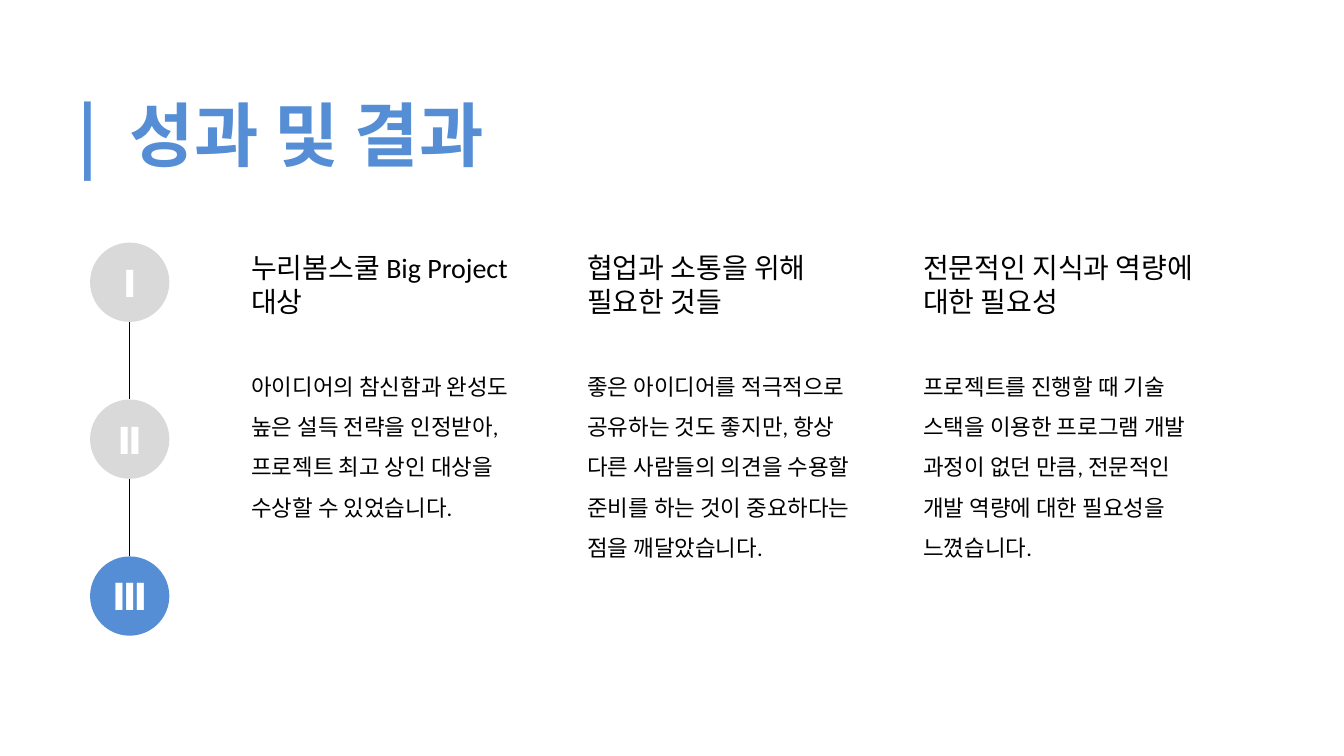
from lxml import etree
from pptx import Presentation
from pptx.dml.color import RGBColor
from pptx.enum.shapes import MSO_CONNECTOR, MSO_SHAPE
from pptx.enum.text import MSO_ANCHOR, MSO_AUTO_SIZE, PP_ALIGN
from pptx.oxml.ns import qn
from pptx.util import Inches, Pt

STRAIGHT, OVAL = MSO_CONNECTOR.STRAIGHT, MSO_SHAPE.OVAL
MIDDLE, CENTER, LEFT = MSO_ANCHOR.MIDDLE, PP_ALIGN.CENTER, PP_ALIGN.LEFT
GROW = MSO_AUTO_SIZE.SHAPE_TO_FIT_TEXT
LATIN, KOREAN = "Calibri", "Noto Sans CJK KR"
BLUE, GRAY, WHITE, BLACK = "558ED5", "D9D9D9", "FFFFFF", "000000"

# Content
TITLE = "|  성과 및 결과"
STEPS = [("Ⅰ", GRAY), ("Ⅱ", GRAY), ("Ⅲ", BLUE)]
COLUMNS = [  # heading, body, body height
    ("누리봄스쿨 Big Project 대상",
     "아이디어의 참신함과 완성도 높은 설득 전략을 인정받아, "
     "프로젝트 최고 상인 대상을 수상할 수 있었습니다.", 3.06),
    ("협업과 소통을 위해 필요한 것들",
     "좋은 아이디어를 적극적으로 공유하는 것도 좋지만, 항상 다른 사람들의 "
     "의견을 수용할 준비를 하는 것이 중요하다는 점을 깨달았습니다.", 3.67),
    ("전문적인 지식과 역량에 대한 필요성",
     "프로젝트를 진행할 때 기술 스택을 이용한 프로그램 개발 과정이 없던 만큼, "
     "전문적인 개발 역량에 대한 필요성을 느꼈습니다.", 3.06),
]

# Grid, in inches
COLUMN_LEFT, COLUMN_STEP, COLUMN_WIDTH = 3.64, 5, 4.23
HEADING_TOP, HEADING_HEIGHT, BODY_TOP = 3.68, 1.11, 5.3
STEP_LEFT, STEP_TOP, STEP_PITCH, STEP_SIZE = 1.34, 3.61, 2.335, 1.18


def color(value):
    return RGBColor.from_string(value)


def write(frame, text, size, ink=BLACK, font=LATIN, bold=False,
          align=LEFT, spacing=1.0):
    frame.word_wrap = True
    para = frame.paragraphs[0]
    para.alignment = align
    para.line_spacing = spacing
    span = para.add_run()
    span.text = text
    span.font.size = Pt(size)
    span.font.bold = bold
    span.font.color.rgb = color(ink)
    span.font.name = font
    east_asian = etree.SubElement(span.font._element, qn("a:ea"))
    east_asian.set("typeface", KOREAN)


def add_text(left, top, width, height, text, size, **form):
    box = page.shapes.add_textbox(*map(Inches, (left, top, width, height)))
    write(box.text_frame, text, size, **form)
    box.text_frame.auto_size = GROW


deck = Presentation()
deck.slide_width, deck.slide_height = Inches(20), Inches(11.25)
page = deck.slides.add_slide(deck.slide_layouts[6])

# Title
add_text(1.05, 1.31, 17.57, 1.36, TITLE, 75, ink=BLUE, font=KOREAN, bold=True)

# Step markers, each joined to the next
for index, (numeral, fill) in enumerate(STEPS):
    top = STEP_TOP + index * STEP_PITCH
    marker = page.shapes.add_shape(
        OVAL, *map(Inches, (STEP_LEFT, top, STEP_SIZE, STEP_SIZE)))
    marker.shadow.inherit = False
    marker.fill.solid()
    marker.fill.fore_color.rgb = color(fill)
    marker.line.fill.background()
    marker.text_frame.vertical_anchor = MIDDLE
    write(marker.text_frame, numeral, 40, ink=WHITE, bold=True, align=CENTER)
    if index < len(STEPS) - 1:
        center = STEP_LEFT + STEP_SIZE / 2
        link = page.shapes.add_connector(STRAIGHT, *map(Inches, (
            center, top + STEP_SIZE, center, top + STEP_PITCH)))
        link.line.color.rgb = color(BLACK)
        link.line.width = Pt(1)
        etree.SubElement(link._element.spPr, qn("a:effectLst"))

# Columns
for index, (heading, body, body_height) in enumerate(COLUMNS):
    left = COLUMN_LEFT + index * COLUMN_STEP
    add_text(left, HEADING_TOP, COLUMN_WIDTH, HEADING_HEIGHT, heading, 30)
    add_text(left, BODY_TOP, COLUMN_WIDTH, body_height, body, 24, spacing=1.5)

deck.save("out.pptx")
